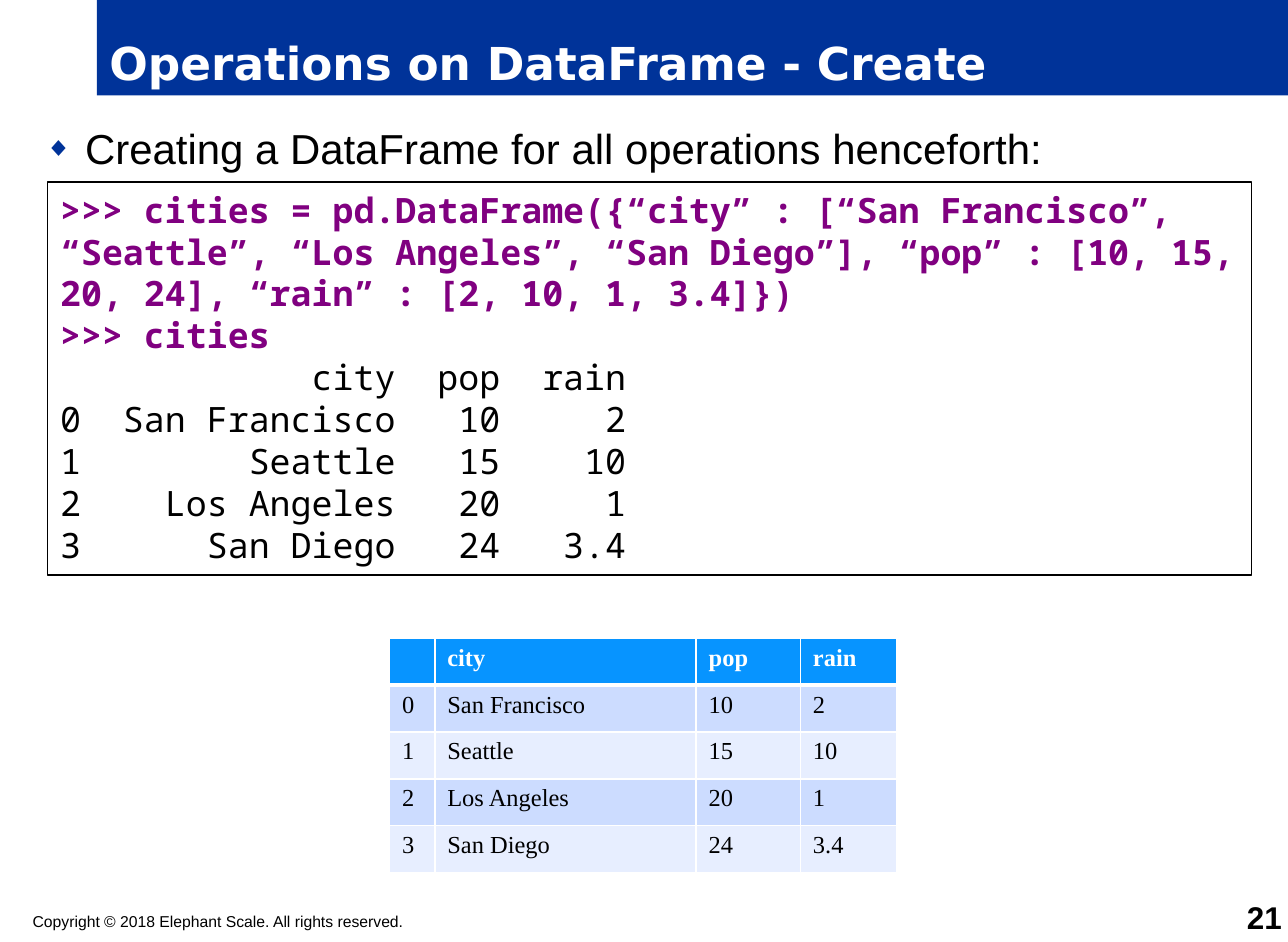
from dataclasses import dataclass

from lxml import etree
from pptx import Presentation
from pptx import util as u
from pptx.dml.color import RGBColor
from pptx.enum import shapes, text
from pptx.oxml import ns

NAVY = RGBColor(0x00, 0x33, 0x99)
BLUE = RGBColor(0x07, 0x94, 0xFF)
BAND_DARK = RGBColor(0xCC, 0xDC, 0xFF)
BAND_LIGHT = RGBColor(0xE7, 0xEE, 0xFF)
PURPLE = RGBColor(0x80, 0x00, 0x80)
BLACK = RGBColor(0x00, 0x00, 0x00)
WHITE = RGBColor(0xFF, 0xFF, 0xFF)


@dataclass(frozen=True)
class Box:
    left: float
    top: float
    width: float
    height: float

    def lengths(self) -> tuple:
        return tuple(u.Inches(n) for n in (self.left, self.top, self.width, self.height))


@dataclass(frozen=True)
class Style:
    name: str
    size: float
    color: RGBColor = BLACK
    bold: bool = False


@dataclass(frozen=True)
class City:
    city: str
    pop: str
    rain: str

    def values(self) -> tuple[str, str, str]:
        return self.city, self.pop, self.rain


HEADER = City("city", "pop", "rain")
CITIES = [
    City("San Francisco", "10", "2"),
    City("Seattle", "15", "10"),
    City("Los Angeles", "20", "1"),
    City("San Diego", "24", "3.4"),
]
COMMANDS = [
    ">>> cities = pd.DataFrame({“city” : [“San Francisco”, “Seattle”, “Los Angeles”, "
    "“San Diego”], “pop” : [10, 15, 20, 24], “rain” : [2, 10, 1, 3.4]})",
    ">>> cities",
]
COLUMN_WIDTHS = [0.36, 2.08, 0.83, 0.77]


def set_font(paragraph, style: Style) -> None:
    font = paragraph.font
    font.name, font.size, font.bold = style.name, u.Pt(style.size), style.bold
    font.color.rgb = style.color


def add_text(slide, box: Box, content: str, style: Style, margin: float = 0):
    """Add a one-paragraph text box and return its text frame."""
    frame = slide.shapes.add_textbox(*box.lengths()).text_frame
    frame.word_wrap = True
    frame.margin_left = frame.margin_right = u.Inches(margin)
    frame.margin_top = frame.margin_bottom = u.Inches(margin / 2)
    frame.text = content
    set_font(frame.paragraphs[0], style)
    return frame


def add_bullet(paragraph, indent: float) -> None:
    properties = paragraph._p.get_or_add_pPr()
    properties.set("marL", str(u.Inches(indent)))
    properties.set("indent", str(u.Inches(-indent)))
    color = etree.SubElement(properties, ns.qn("a:buClr"))
    etree.SubElement(color, ns.qn("a:srgbClr"), val=str(NAVY))
    etree.SubElement(properties, ns.qn("a:buSzPct"), val="65000")
    etree.SubElement(properties, ns.qn("a:buFont"), typeface="Arial")
    etree.SubElement(properties, ns.qn("a:buChar"), char="◆")


def set_borders(cell, top: float, bottom: float) -> None:
    """Draw white borders, 1 pt at the sides; top and bottom are in points."""
    properties = cell._tc.get_or_add_tcPr()
    widths = {"lnL": 1, "lnR": 1, "lnT": top, "lnB": bottom}
    for position, (side, width) in enumerate(widths.items()):
        line = etree.Element(ns.qn(f"a:{side}"), w=str(u.Pt(width)))
        fill = etree.SubElement(line, ns.qn("a:solidFill"))
        etree.SubElement(fill, ns.qn("a:srgbClr"), val=str(WHITE))
        properties.insert(position, line)


def set_title(slide) -> None:
    title = slide.shapes.title
    title.left, title.top, title.width, title.height = Box(0.77, 0, 9.48, 0.76).lengths()
    title.fill.solid()
    title.fill.fore_color.rgb = NAVY
    frame = title.text_frame
    frame.text = "Operations on DataFrame - Create"
    frame.auto_size = text.MSO_AUTO_SIZE.NONE
    frame.vertical_anchor = text.MSO_ANCHOR.BOTTOM
    frame.paragraphs[0].alignment = text.PP_ALIGN.LEFT
    set_font(frame.paragraphs[0], Style("DejaVu Sans", 26, WHITE, True))


def add_code(slide) -> None:
    panel = slide.shapes.add_shape(
        shapes.MSO_SHAPE.RECTANGLE, *Box(0.38, 1.45, 9.58, 3.13).lengths())
    panel.shadow.inherit = False
    panel.fill.solid()
    panel.fill.fore_color.rgb = WHITE
    panel.line.color.rgb = BLACK
    panel.line.width = u.Pt(0.75)
    output = [f"{index:1}{row.city:>15}{row.pop:>5}{row.rain:>6}"
              for index, row in zip(["", 0, 1, 2, 3], [HEADER, *CITIES])]
    output[0] = f"{HEADER.city:>16}{HEADER.pop:>5}{HEADER.rain:>6}"
    frame = panel.text_frame
    frame.word_wrap = True
    frame.vertical_anchor = text.MSO_ANCHOR.TOP
    frame.text = "\n".join(COMMANDS + output)
    for number, paragraph in enumerate(frame.paragraphs):
        paragraph.alignment = text.PP_ALIGN.LEFT
        is_command = number < len(COMMANDS)
        color = PURPLE if is_command else BLACK
        set_font(paragraph, Style("Noto Sans Mono", 20, color, is_command))


def add_city_table(slide) -> None:
    rows = [("", *HEADER.values())]
    rows += [(str(index), *city.values()) for index, city in enumerate(CITIES)]
    table = slide.shapes.add_table(
        len(rows), len(COLUMN_WIDTHS), *Box(3.1, 5.08, 4.04, 1.87).lengths()).table
    for column, width in zip(table.columns, COLUMN_WIDTHS):
        column.width = u.Inches(width)
    for r, values in enumerate(rows):
        is_header = r == 0
        fill = BLUE if is_header else BAND_DARK if r % 2 else BAND_LIGHT
        style = Style("Times New Roman", 14, WHITE if is_header else BLACK, is_header)
        for c, value in enumerate(values):
            cell = table.cell(r, c)
            cell.text = value
            set_font(cell.text_frame.paragraphs[0], style)
            cell.fill.solid()
            cell.fill.fore_color.rgb = fill
            set_borders(cell, top=3 if r == 1 else 1, bottom=3 if is_header else 1)


def main() -> None:
    presentation = Presentation()
    presentation.slide_width = u.Inches(10.25)
    presentation.slide_height = u.Inches(7.5)
    slide = presentation.slides.add_slide(presentation.slide_layouts[5])

    set_title(slide)
    body = add_text(slide, Box(0.26, 0.93, 9.74, 0.5),
                    "Creating a DataFrame for all operations henceforth:",
                    Style("Arial", 24), margin=0.1)
    add_bullet(body.paragraphs[0], 0.32)
    add_code(slide)
    add_city_table(slide)
    add_text(slide, Box(0.26, 7.26, 5.95, 0.15),
             "Copyright © 2018 Elephant Scale. All rights reserved.", Style("Arial", 9))
    number = add_text(slide, Box(9.6, 7.2, 0.6, 0.25), "21", Style("Arial", 18, bold=True))
    number.vertical_anchor = text.MSO_ANCHOR.BOTTOM
    number.paragraphs[0].alignment = text.PP_ALIGN.RIGHT
    presentation.save("out.pptx")


if __name__ == "__main__":
    main()
